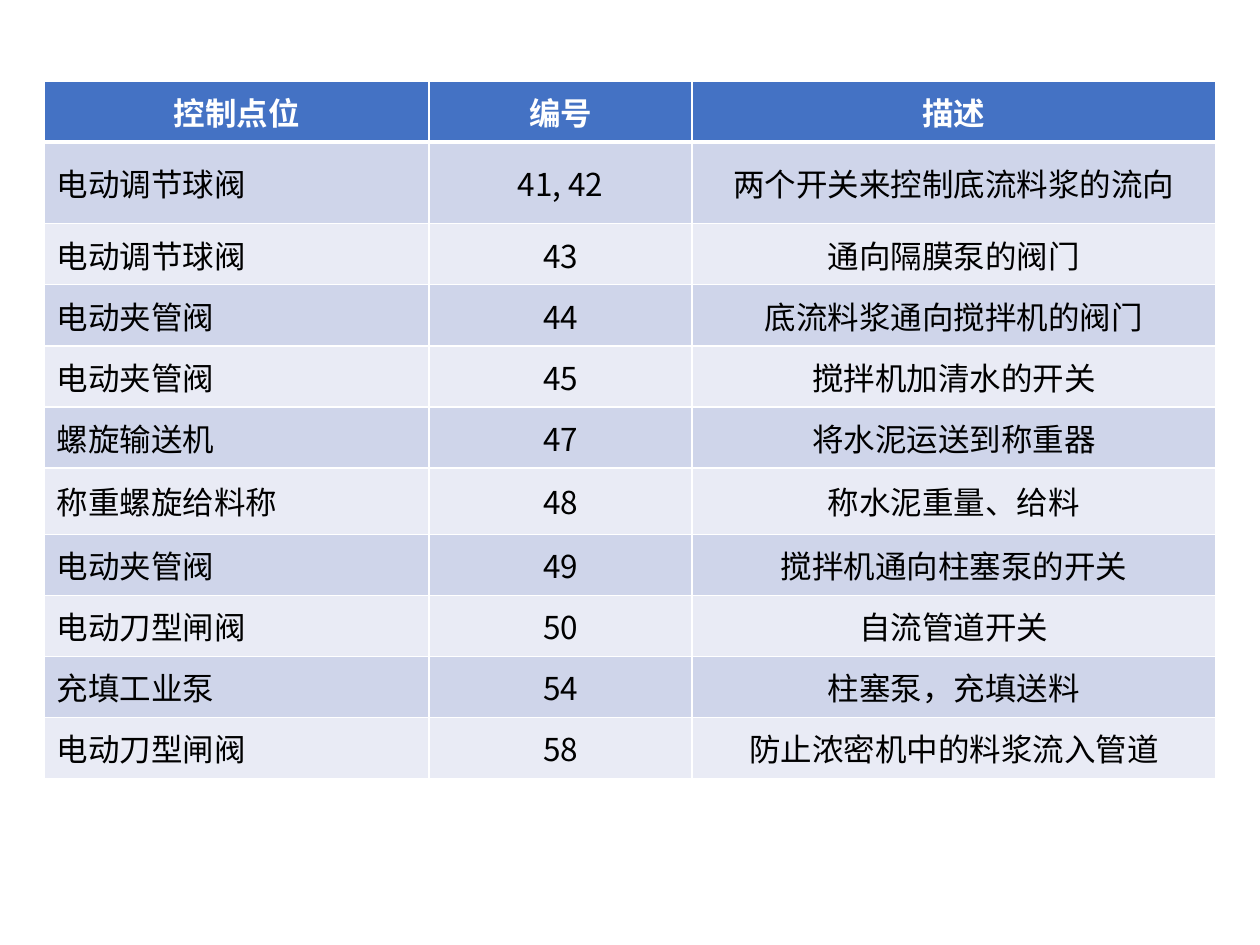
from lxml.etree import SubElement
from pptx import Presentation
from pptx.dml.color import RGBColor
from pptx.enum.text import MSO_ANCHOR, PP_ALIGN
from pptx.oxml.ns import qn
from pptx.util import Cm, Pt

FONT_NAME = "Noto Sans CJK SC"
WHITE = RGBColor(0xFF, 0xFF, 0xFF)
BLACK = RGBColor(0x00, 0x00, 0x00)
HEADER_BLUE = RGBColor(0x44, 0x72, 0xC4)
BAND_COLORS = (RGBColor(0xCF, 0xD5, 0xEA), RGBColor(0xE9, 0xEB, 0xF5))

COLUMN_WIDTHS = (7.76, 5.3, 10.56)
ROW_HEIGHT = 1.23
SPECIAL_ROW_HEIGHTS = {1: 1.65, 6: 1.34}

CONTROL_POINTS = (
    ("控制点位", "编号", "描述"),
    ("电动调节球阀", "41, 42", "两个开关来控制底流料浆的流向"),
    ("电动调节球阀", "43", "通向隔膜泵的阀门"),
    ("电动夹管阀", "44", "底流料浆通向搅拌机的阀门"),
    ("电动夹管阀", "45", "搅拌机加清水的开关"),
    ("螺旋输送机", "47", "将水泥运送到称重器"),
    ("称重螺旋给料称", "48", "称水泥重量、给料"),
    ("电动夹管阀", "49", "搅拌机通向柱塞泵的开关"),
    ("电动刀型闸阀", "50", "自流管道开关"),
    ("充填工业泵", "54", "柱塞泵，充填送料"),
    ("电动刀型闸阀", "58", "防止浓密机中的料浆流入管道"),
)


def set_borders(cell, widths):
    """Draw white borders, given point widths by side (L, R, T, B in that order)."""
    properties = cell._tc.get_or_add_tcPr()
    for side, width in widths.items():
        line = SubElement(properties, qn(f"a:ln{side}"), w=str(Pt(width)))
        fill = SubElement(line, qn("a:solidFill"))
        SubElement(fill, qn("a:srgbClr"), val=str(WHITE))


def fill_cell(cell, text, is_header, alignment, background):
    top = 3 if cell.is_spanned else 1
    set_borders(cell, {"L": 1, "R": 1, "T": top, "B": 3 if is_header else 1})
    cell.fill.solid()
    cell.fill.fore_color.rgb = background
    cell.vertical_anchor = MSO_ANCHOR.MIDDLE
    paragraph = cell.text_frame.paragraphs[0]
    paragraph.alignment = alignment
    run = paragraph.add_run()
    run.text = text
    font_format = {"name": FONT_NAME, "size": Pt(18), "bold": is_header}
    for attribute, value in font_format.items():
        setattr(run.font, attribute, value)
    run.font.color.rgb = WHITE if is_header else BLACK
    SubElement(run._r.get_or_add_rPr(), qn("a:ea"), typeface=FONT_NAME)


def add_control_point_table(slide, left, top):
    heights = [SPECIAL_ROW_HEIGHTS.get(index, ROW_HEIGHT)
               for index in range(len(CONTROL_POINTS))]
    table = slide.shapes.add_table(
        len(heights), len(COLUMN_WIDTHS), Cm(left), Cm(top),
        Cm(sum(COLUMN_WIDTHS)), Cm(sum(heights))).table
    for column, width in zip(table.columns, COLUMN_WIDTHS):
        column.width = Cm(width)
    for row_index, (texts, height) in enumerate(zip(CONTROL_POINTS, heights)):
        table.rows[row_index].height = Cm(height)
        is_header = row_index == 0
        background = HEADER_BLUE if is_header else BAND_COLORS[(row_index - 1) % 2]
        for column_index, text in enumerate(texts):
            is_name = column_index == 0 and not is_header
            alignment = PP_ALIGN.LEFT if is_name else PP_ALIGN.CENTER
            fill_cell(table.cell(row_index, column_index), text,
                      is_header, alignment, background)
        if row_index == 1:
            for cell in table.rows[row_index].cells:
                cell._tc.tcPr.find(qn("a:lnT")).set("w", str(Pt(3)))


def main():
    presentation = Presentation()
    presentation.slide_width = Cm(25.4)
    presentation.slide_height = Cm(19.05)
    slide = presentation.slides.add_slide(presentation.slide_layouts[6])
    add_control_point_table(slide, left=0.89, top=1.63)
    presentation.save("out.pptx")


if __name__ == "__main__":
    main()
